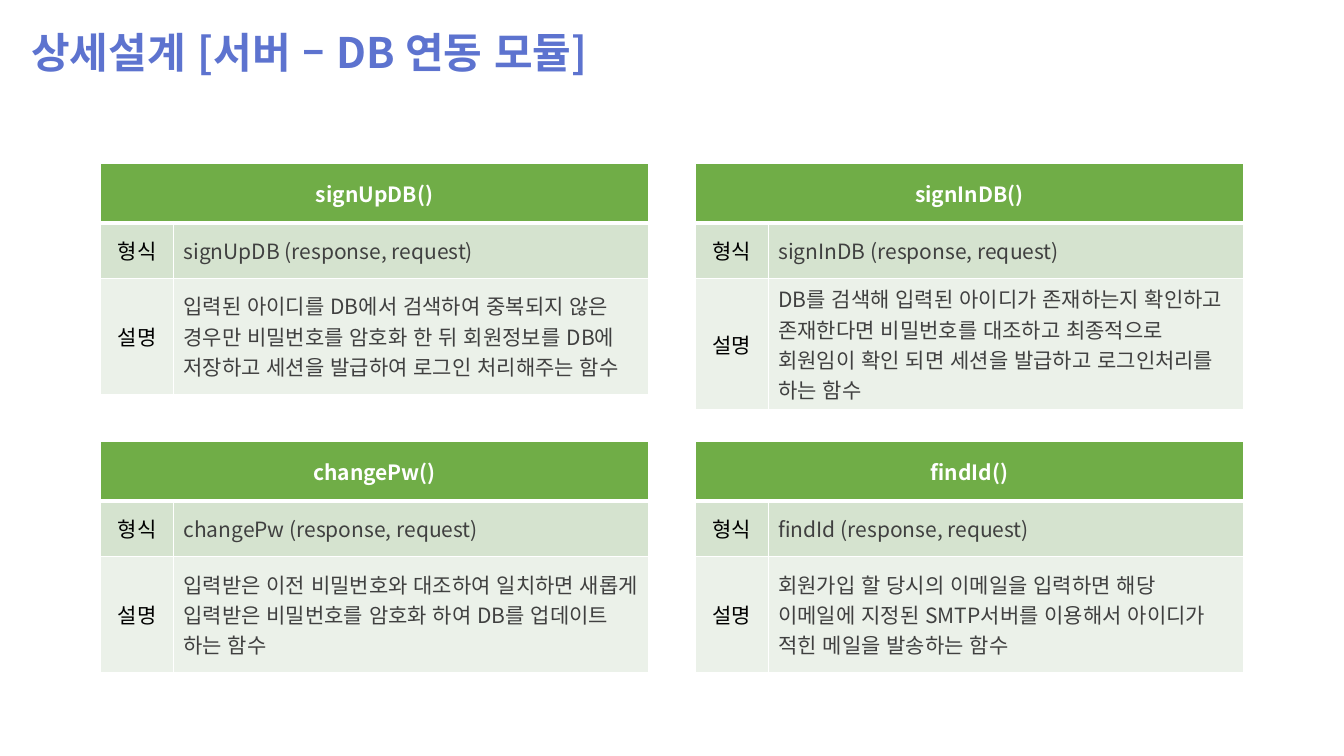
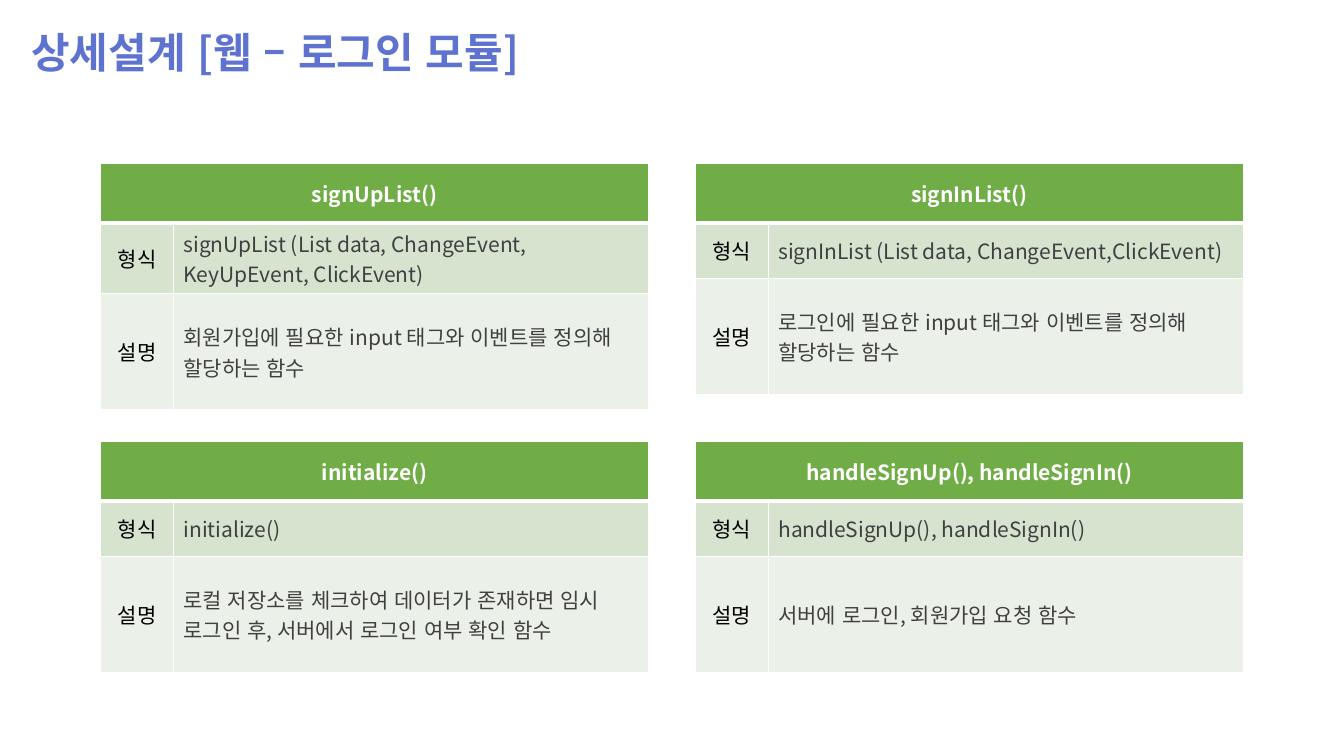
"""Build two slides that describe module functions in a two-by-two grid of tables."""
import lxml.etree
import pptx
import pptx.dml.color
import pptx.enum.lang
import pptx.enum.text
import pptx.oxml.ns
import pptx.util

Inches = pptx.util.Inches
Pt = pptx.util.Pt
qn = pptx.oxml.ns.qn
ALIGN = pptx.enum.text.PP_ALIGN
ANCHOR = pptx.enum.text.MSO_ANCHOR

FONT = "Noto Sans CJK KR"
COLORS = {
    "title": "5D73CF",
    "header": "70AD47",
    "form": "D5E3CF",
    "description": "EBF1E9",
    "label": "000000",
    "body": "404040",
    "white": "FFFFFF",
}
COL_WIDTHS = (0.72, 4.71)
ROW_HEIGHTS = (0.59, 0.55, 1.15)
LEFT, TOP = 1, 1.62
COL_STEP, ROW_STEP = 5.9, 2.76

SLIDES = [
    ("상세설계 [서버 – DB 연동 모듈]", [
        ("signUpDB()", "signUpDB (response, request)",
         "입력된 아이디를 DB에서 검색하여 중복되지 않은 경우만 비밀번호를 암호화 한 뒤 "
         "회원정보를 DB에 저장하고 세션을 발급하여 로그인 처리해주는 함수"),
        ("signInDB()", "signInDB (response, request)",
         "DB를 검색해 입력된 아이디가 존재하는지 확인하고 존재한다면 비밀번호를 대조하고 "
         "최종적으로 회원임이 확인 되면 세션을 발급하고 로그인처리를 하는 함수"),
        ("changePw()", "changePw (response, request)",
         "입력받은 이전 비밀번호와 대조하여 일치하면 새롭게 입력받은 비밀번호를 "
         "암호화 하여 DB를 업데이트 하는 함수"),
        ("findId()", "findId (response, request)",
         "회원가입 할 당시의 이메일을 입력하면 해당 이메일에 지정된 SMTP서버를 "
         "이용해서 아이디가 적힌 메일을 발송하는 함수"),
    ]),
    ("상세설계 [웹 – 로그인 모듈]", [
        ("signUpList()", "signUpList (List data, ChangeEvent, KeyUpEvent, ClickEvent)",
         "회원가입에 필요한 input 태그와 이벤트를 정의해 할당하는 함수"),
        ("signInList()", "signInList (List data, ChangeEvent,ClickEvent)",
         "로그인에 필요한 input 태그와 이벤트를 정의해 할당하는 함수"),
        ("initialize()", "initialize()",
         "로컬 저장소를 체크하여 데이터가 존재하면 임시 로그인 후, "
         "서버에서 로그인 여부 확인 함수"),
        ("handleSignUp(), handleSignIn()", "handleSignUp(), handleSignIn()",
         "서버에 로그인, 회원가입 요청 함수"),
    ]),
]


def rgb(name):
    return pptx.dml.color.RGBColor.from_string(COLORS[name])


def write_text(tf, text, size=15, color="body", bold=False, align=ALIGN.LEFT):
    p = tf.paragraphs[0]
    p.alignment = align
    r = p.add_run()
    r.text = text
    r.font.size = Pt(size)
    r.font.bold = bold
    r.font.name = FONT
    r.font.color.rgb = rgb(color)
    r.font.language_id = pptx.enum.lang.MSO_LANGUAGE_ID.KOREAN
    lxml.etree.SubElement(r.font._element, qn("a:ea"), typeface=FONT)


class Deck:
    def __init__(self):
        self.prs = pptx.Presentation()
        self.prs.slide_width = Inches(13.33)
        self.prs.slide_height = Inches(7.5)
        self.s = None

    def slide(self, title):
        self.s = self.prs.slides.add_slide(self.prs.slide_layouts[5])
        sp = self.s.shapes.title
        sp.left, sp.top = Inches(0.21), Inches(0.21)
        sp.width, sp.height = Inches(7.8), Inches(0.61)
        tf = sp.text_frame
        tf.word_wrap = True
        tf.auto_size = pptx.enum.text.MSO_AUTO_SIZE.NONE
        tf.vertical_anchor = ANCHOR.TOP
        write_text(tf, title, size=30, color="title", bold=True)

    def cell(self, cell, text, fill, top=1, bottom=1, **fmt):
        tcPr = cell._tc.get_or_add_tcPr()
        for side, width in (("L", 1), ("R", 1), ("T", top), ("B", bottom)):
            ln = lxml.etree.SubElement(tcPr, qn(f"a:ln{side}"), w=str(Pt(width)))
            solid = lxml.etree.SubElement(ln, qn("a:solidFill"))
            lxml.etree.SubElement(solid, qn("a:srgbClr"), val=COLORS["white"])
        cell.fill.solid()
        cell.fill.fore_color.rgb = rgb(fill)
        cell.vertical_anchor = ANCHOR.MIDDLE
        if text:
            write_text(cell.text_frame, text, **fmt)

    def function_table(self, left, top, name, form, description):
        table = self.s.shapes.add_table(
            len(ROW_HEIGHTS), len(COL_WIDTHS), Inches(left), Inches(top),
            Inches(sum(COL_WIDTHS)), Inches(sum(ROW_HEIGHTS))).table
        for col, width in zip(table.columns, COL_WIDTHS):
            col.width = Inches(width)
        for row, height in zip(table.rows, ROW_HEIGHTS):
            row.height = Inches(height)
        table.cell(0, 0).merge(table.cell(0, 1))
        for col, text in enumerate((name, "")):
            self.cell(table.cell(0, col), text, "header", bottom=3,
                      color="white", bold=True, align=ALIGN.CENTER)
        rows = (("형식", form, "form", 3), ("설명", description, "description", 1))
        for i, (label, text, fill, line) in enumerate(rows, 1):
            self.cell(table.cell(i, 0), label, fill, top=line,
                      color="label", align=ALIGN.CENTER)
            self.cell(table.cell(i, 1), text, fill, top=line)


def main():
    deck = Deck()
    for title, functions in SLIDES:
        deck.slide(title)
        for i, function in enumerate(functions):
            row, col = divmod(i, 2)
            deck.function_table(LEFT + col * COL_STEP, TOP + row * ROW_STEP, *function)
    deck.prs.save("out.pptx")


if __name__ == "__main__":
    main()
